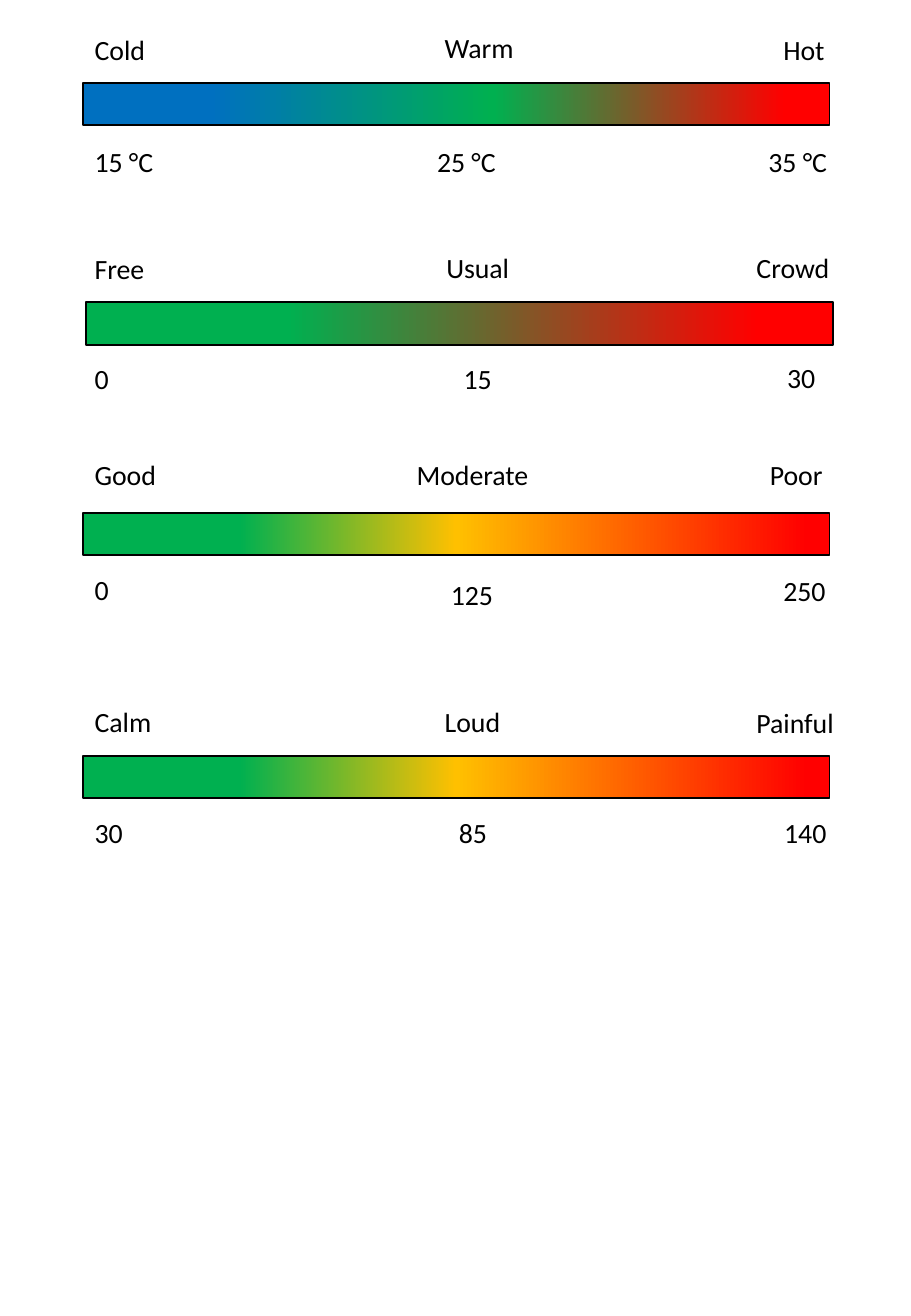
"""Four comfort scales: temperature, occupancy, air quality and noise."""
from copy import deepcopy

from pptx import Presentation
from pptx import util as u
from pptx.dml import color
from pptx.enum import shapes, text
from pptx.oxml import ns

COLORS = {"black": "000000", "blue": "0070C0", "green": "00B050",
          "amber": "FFC000", "red": "FF0000"}
LEFT, CENTER = text.PP_ALIGN.LEFT, text.PP_ALIGN.CENTER
EDGE = 1.73  # left edge shared by bars and first labels, in cm
NORMAL, WIDE = 2.46, 2.9  # label widths, in cm


class ScalePage:
    """Holds the style and the current slide."""

    font, size = "Calibri", u.Pt(16.5)
    bar_width, bar_height = u.Cm(15.62), u.Cm(0.89)
    label_height = u.Cm(0.97)

    def __init__(self, deck):
        """Add a blank slide to the deck."""
        self.page = deck.slides.add_slide(deck.slide_layouts[6])

    @staticmethod
    def rgb(name):
        """Return the named colour."""
        return color.RGBColor.from_string(COLORS[name])

    def bar(self, left, top, stops):
        """Draw an outlined bar with a left-to-right gradient."""
        box = self.page.shapes.add_shape(
            shapes.MSO_SHAPE.RECTANGLE, u.Cm(left), u.Cm(top),
            self.bar_width, self.bar_height)
        box.shadow.inherit = False
        box.line.color.rgb = self.rgb("black")
        box.line.width = u.Pt(1)
        box.fill.gradient()
        box.fill.gradient_angle = 0
        stop_list = next(box._element.spPr.iter(ns.qn("a:gsLst")))
        for _ in stops[2:]:
            stop_list.append(deepcopy(stop_list[0]))
        for stop, (percent, name) in zip(box.fill.gradient_stops, stops):
            stop.position = percent / 100
            stop.color.rgb = self.rgb(name)

    def label(self, words, left, top, align=LEFT, width=NORMAL):
        """Write one label above or below a bar."""
        box = self.page.shapes.add_textbox(
            u.Cm(left), u.Cm(top), u.Cm(width), self.label_height)
        box.text_frame.word_wrap = True
        box.text_frame.auto_size = text.MSO_AUTO_SIZE.SHAPE_TO_FIT_TEXT
        para = box.text_frame.paragraphs[0]
        para.alignment = align
        span = para.add_run()
        span.text = words
        span.font.name, span.font.size = self.font, self.size
        span.font.color.rgb = self.rgb("black")


GREEN_AMBER_RED = [(21, "green"), (50, "amber"), (97, "red")]

# Each scale: bar left, bar top, gradient stops, labels (words, left, top, ...)
SCALES = [
    (EDGE, 1.73, [(17, "blue"), (55, "green"), (94, "red")], [
        ("Cold", EDGE, 0.56), ("Warm", 8.79, 0.51, CENTER),
        ("Hot", 16.13, 0.56),
        ("15 °C", EDGE, 2.9), ("25 °C", 8.89, 2.9), ("35 °C", 15.82, 2.9)]),
    (1.8, 6.32, [(27, "green"), (90, "red")], [
        ("Free", EDGE, 5.13), ("Usual", 8.76, 5.11, CENTER),
        ("Crowd", 15.57, 5.11),
        ("0", EDGE, 7.44), ("15", 8.76, 7.44, CENTER), ("30", 16.21, 7.42)]),
    (EDGE, 10.72, GREEN_AMBER_RED, [
        ("Good", EDGE, 9.45), ("Moderate", 8.43, 9.45, CENTER, WIDE),
        ("Poor", 15.85, 9.45),
        ("0", EDGE, 11.84), ("125", 8.64, 11.96, CENTER),
        ("250", 16.13, 11.86)]),
    (EDGE, 15.8, GREEN_AMBER_RED, [
        ("Calm", EDGE, 14.6), ("Loud", 8.43, 14.6, CENTER, WIDE),
        ("Painful", 15.57, 14.63),
        ("30", EDGE, 16.92), ("85", 8.66, 16.92, CENTER),
        ("140", 16.15, 16.92)]),
]

deck = Presentation()
deck.slide_width, deck.slide_height = u.Cm(19.05), u.Cm(27.51)
scale_page = ScalePage(deck)
for bar_left, bar_top, bar_stops, labels in SCALES:
    scale_page.bar(bar_left, bar_top, bar_stops)
    for label in labels:
        scale_page.label(*label)
deck.save("out.pptx")
